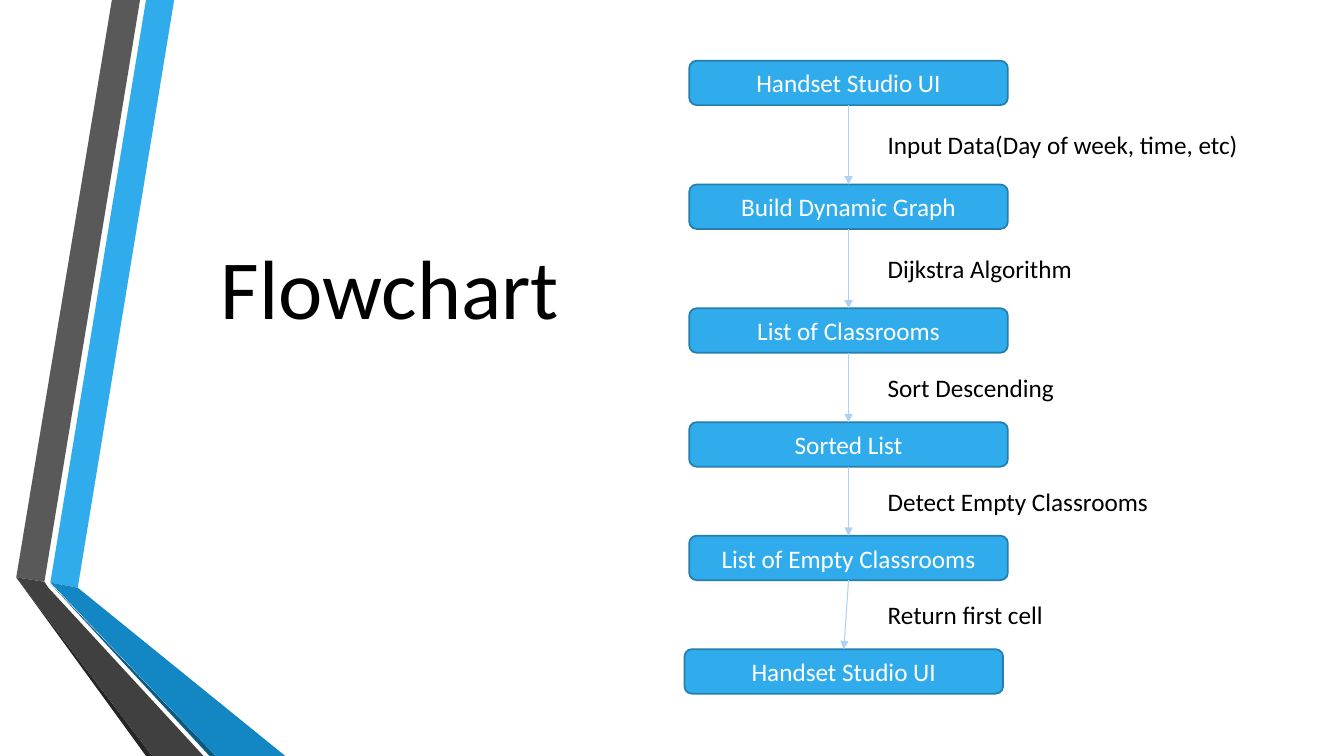
import pptx
import pptx.util
import pptx.dml.color
import pptx.enum.dml
import pptx.enum.shapes
import pptx.enum.text
import pptx.oxml
import pptx.oxml.ns
from pptx.enum.text import MSO_ANCHOR, PP_ALIGN
from pptx.util import Cm, Pt

FONT = "Calibri"
SLIDE_WIDTH, SLIDE_HEIGHT = 33.87, 19.05
STEP_WIDTH, STEP_HEIGHT = 8.03, 1.12
LABEL_LEFT, LABEL_HEIGHT = 22.12, 1.02

# Left, top (cm) and wording of each step
STEPS = [
    (17.37, 1.53, "Handset Studio UI"),
    (17.37, 4.65, "Build Dynamic Graph"),
    (17.37, 7.77, "List of Classrooms"),
    (17.37, 10.64, "Sorted List"),
    (17.37, 13.5, "List of Empty Classrooms"),
    (17.25, 16.36, "Handset Studio UI"),
]

# Wording and width (cm) of the label beside each arrow
TRANSITIONS = [
    ("Input Data(Day of week, time, etc)", 9.98),
    ("Dijkstra Algorithm", 6.27),
    ("Sort Descending", 6.27),
    ("Detect Empty Classrooms", 7.87),
    ("Return first cell", 7.87),
]

# Colour and corners (cm) of each ribbon facet, back to front
RIBBON_FACETS = [
    ("30ACEC", [(1.27, 14.68), (1.96, 14.81), (4.39, 0), (3.68, 0)]),
    ("595959", [(3.53, 0), (2.82, 0), (0.41, 14.55), (1.12, 14.66)]),
    ("262626", [(0.41, 14.55), (3.68, SLIDE_HEIGHT), (3.84, SLIDE_HEIGHT)]),
    ("0C5A82", [(1.27, 14.71), (5.28, SLIDE_HEIGHT), (5.44, SLIDE_HEIGHT)]),
    ("1287C3", [(1.27, 14.68), (5.44, SLIDE_HEIGHT), (7.19, SLIDE_HEIGHT),
                (1.96, 14.81)]),
    ("404040", [(5.13, SLIDE_HEIGHT), (1.22, 14.81), (1.12, 14.66),
                (0.41, 14.55), (3.84, SLIDE_HEIGHT)]),
]


def rgb(hex_colour):
    return pptx.dml.color.RGBColor.from_string(hex_colour)


def write(frame, text, size, colour, align, anchor):
    frame.word_wrap = True
    frame.vertical_anchor = anchor
    paragraph = frame.paragraphs[0]
    paragraph.alignment = align
    run = paragraph.add_run()
    run.text = text
    run.font.name = FONT
    run.font.size = Pt(size)
    run.font.color.rgb = rgb(colour)


def add_facet(slide, colour, corners):
    start, *others = [(Cm(x), Cm(y)) for x, y in corners]
    builder = slide.shapes.build_freeform(*start)
    builder.add_line_segments(others, close=True)
    facet = builder.convert_to_shape()
    facet.shadow.inherit = False
    facet.fill.solid()
    facet.fill.fore_color.rgb = rgb(colour)
    facet.line.fill.background()


def add_step(slide, left, top, text):
    step = slide.shapes.add_shape(
        pptx.enum.shapes.MSO_SHAPE.ROUNDED_RECTANGLE,
        Cm(left), Cm(top), Cm(STEP_WIDTH), Cm(STEP_HEIGHT))
    step.shadow.inherit = False
    step.fill.solid()
    step.fill.fore_color.rgb = rgb("30ACEC")
    step.line.color.rgb = rgb("247FAF")
    step.line.width = Pt(1.25)
    write(step.text_frame, text, 18, "FFFFFF", PP_ALIGN.CENTER, MSO_ANCHOR.MIDDLE)
    return step


def add_arrow(slide, upper, lower):
    """Join the bottom of one step to the top of the next."""
    arrow = slide.shapes.add_connector(
        pptx.enum.shapes.MSO_CONNECTOR.STRAIGHT, 0, 0, 0, 0)
    arrow.begin_connect(upper, 2)
    arrow.end_connect(lower, 0)
    arrow.line.color.rgb = rgb("AED2F4")
    arrow.line.width = Pt(0.75)
    head = pptx.oxml.parse_xml(
        f'<a:tailEnd {pptx.oxml.ns.nsdecls("a")} type="triangle"/>')
    arrow.line._get_or_add_ln().append(head)
    no_effects = pptx.oxml.parse_xml(
        f'<a:effectLst {pptx.oxml.ns.nsdecls("a")}/>')
    arrow._element.spPr.append(no_effects)


def add_label(slide, top, width, text):
    label = slide.shapes.add_textbox(
        Cm(LABEL_LEFT), Cm(top), Cm(width), Cm(LABEL_HEIGHT))
    write(label.text_frame, text, 18, "000000", PP_ALIGN.LEFT, MSO_ANCHOR.TOP)
    label.text_frame.auto_size = pptx.enum.text.MSO_AUTO_SIZE.SHAPE_TO_FIT_TEXT


def set_title(slide, text):
    title = slide.shapes.title
    title.left, title.top = Cm(3.45), Cm(5.77)
    title.width, title.height = Cm(10.9), Cm(2.82)
    write(title.text_frame, text, 60, "000000", PP_ALIGN.RIGHT, MSO_ANCHOR.BOTTOM)


def add_flow(slide):
    """Stack the steps, with each label centred in the gap it describes."""
    steps = [add_step(slide, *step) for step in STEPS]
    for upper, lower in zip(steps, steps[1:]):
        add_arrow(slide, upper, lower)
    tops = [top for _, top, _ in STEPS]
    for upper, lower, (text, width) in zip(tops, tops[1:], TRANSITIONS):
        gap_middle = (upper + STEP_HEIGHT + lower) / 2
        add_label(slide, gap_middle - LABEL_HEIGHT / 2, width, text)


def main():
    deck = pptx.Presentation()
    deck.slide_width, deck.slide_height = Cm(SLIDE_WIDTH), Cm(SLIDE_HEIGHT)
    slide = deck.slides.add_slide(deck.slide_layouts.get_by_name("Title Only"))
    for colour, corners in RIBBON_FACETS:
        add_facet(slide, colour, corners)
    set_title(slide, "Flowchart")
    add_flow(slide)
    deck.save("out.pptx")


if __name__ == "__main__":
    main()
